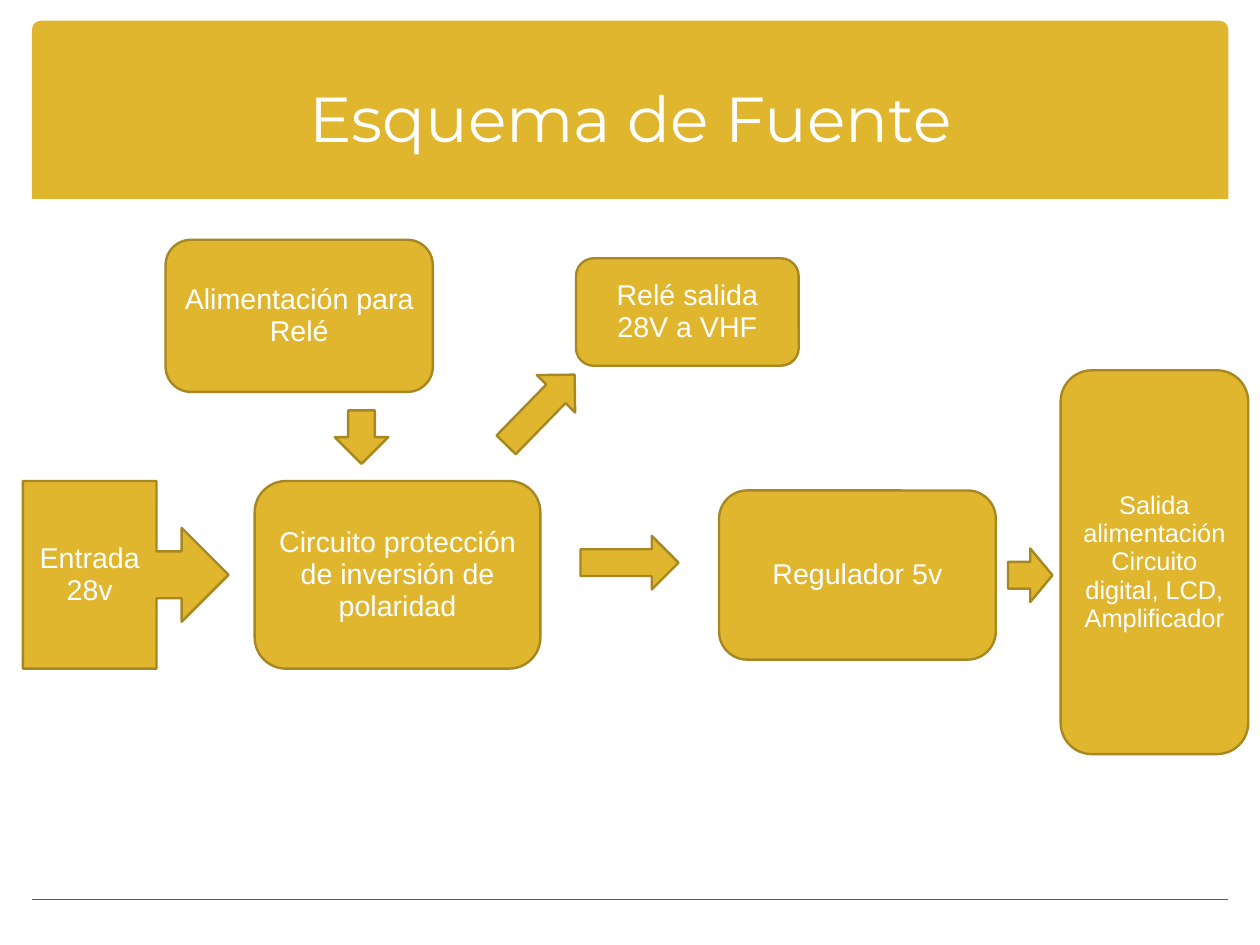
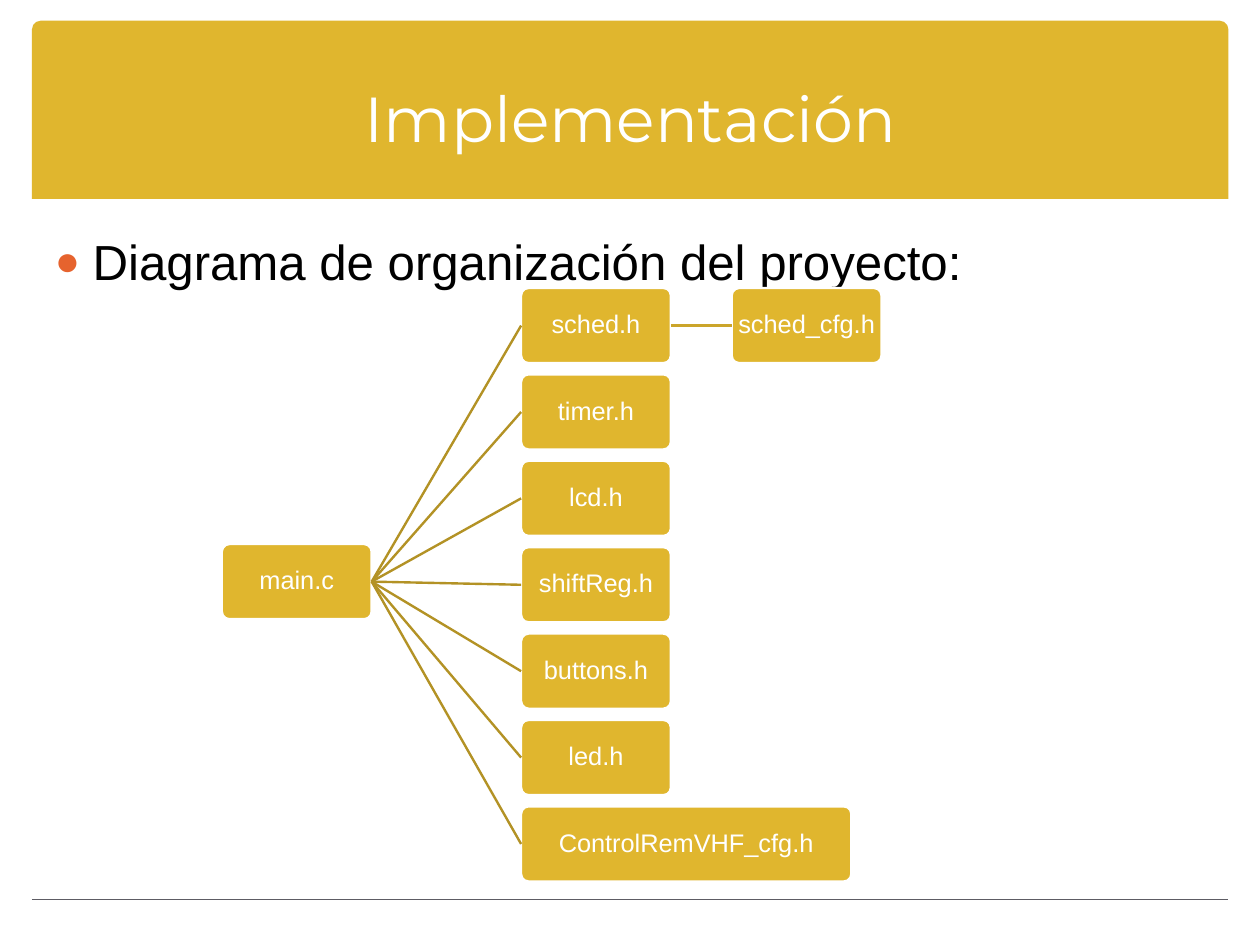
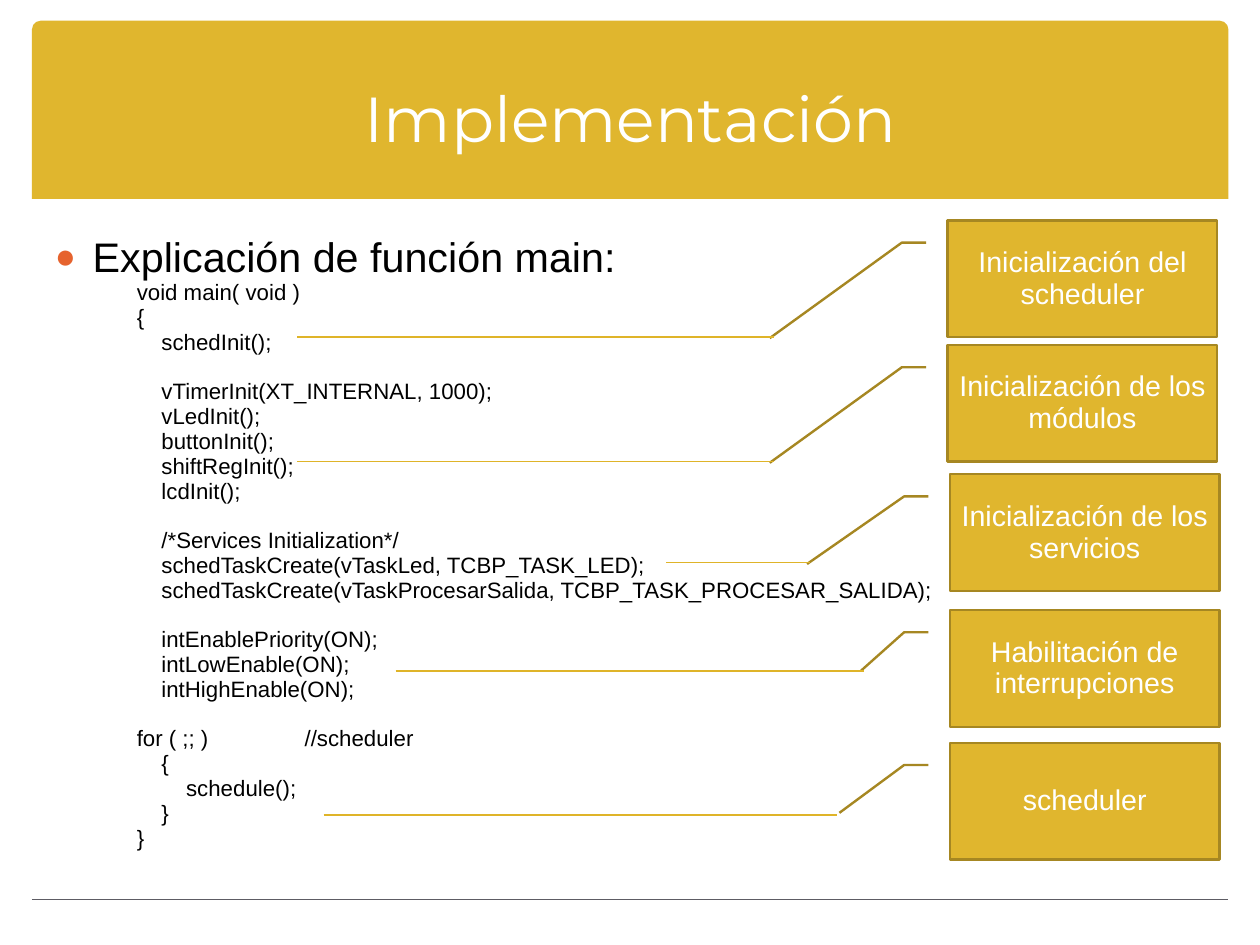
from dataclasses import dataclass
from typing import Optional

import lxml.etree
import pptx
import pptx.dml.color
import pptx.enum.shapes
import pptx.enum.text
import pptx.oxml.ns
import pptx.util

Cm = pptx.util.Cm
Pt = pptx.util.Pt
SHAPE = pptx.enum.shapes.MSO_SHAPE
ALIGN = pptx.enum.text.PP_ALIGN
ANCHOR = pptx.enum.text.MSO_ANCHOR
qn = pptx.oxml.ns.qn

# Shared look
COLORS = {
    "gold": "E0B62E",
    "gold_edge": "A68722",
    "gold_link": "B39225",
    "gold_sublink": "CBA52A",
    "gold_lead": "DFB429",
    "rule": "5D5C64",
    "bullet": "E6632E",
    "white": "FFFFFF",
    "black": "000000",
}
TITLE_FONT = "Montserrat"
BODY_FONT = "Arial"
TITLE_ONLY = 5
MARGIN = 0.71
RIGHT_EDGE = 27.3
TEXT_LEFT, TEXT_WIDTH = 0.94, 26.14
LINE_SPACING = 0.93
CODE_LINE = 15.6  # height of one blank line of code, in points


@dataclass
class Block:
    kind: pptx.enum.shapes.MSO_SHAPE
    left: float
    top: float
    width: float
    height: float
    text: str = ""
    size: float = 18
    rotation: float = 0
    adjustments: tuple = ()
    edge: Optional[str] = "gold_edge"
    inset: Optional[float] = None
    spacing: float = LINE_SPACING


@dataclass
class Callout:
    text: str
    left: float
    top: float
    tip_y: float  # end of the leader, as a share of the box
    tip_x: float


@dataclass
class Lead:
    start: float
    end: float
    y: float


def rgb(name: str) -> pptx.dml.color.RGBColor:
    return pptx.dml.color.RGBColor.from_string(COLORS[name])


def add_text(p, text: str, *, size: float, color: str = "white", font: str = BODY_FONT,
             align=ALIGN.CENTER, spacing: Optional[float] = None, before: float = 0,
             bullet: bool = False, tabs: tuple = ()) -> None:
    """Write one formatted run into a paragraph."""
    p.alignment = align
    if spacing:
        p.line_spacing = spacing
    p.space_before = Pt(before)
    pPr = p._p.get_or_add_pPr()
    if bullet:
        pPr.set("marL", str(Cm(0.84)))
        pPr.set("indent", str(-Cm(0.84)))
        clr = lxml.etree.SubElement(pPr, qn("a:buClr"))
        lxml.etree.SubElement(clr, qn("a:srgbClr"), val=COLORS["bullet"])
        lxml.etree.SubElement(pPr, qn("a:buSzPct"), val="85000")
        lxml.etree.SubElement(pPr, qn("a:buFont"), typeface=BODY_FONT)
        lxml.etree.SubElement(pPr, qn("a:buChar"), char="●")
    if tabs:
        stops = lxml.etree.SubElement(pPr, qn("a:tabLst"))
        for stop in tabs:
            lxml.etree.SubElement(stops, qn("a:tab"), pos=str(Cm(stop)), algn="l")
    r = p.add_run()
    r.text = text
    r.font.size = Pt(size)
    r.font.name = font
    r.font.color.rgb = rgb(color)


def set_insets(tf, x: float, y: float) -> None:
    tf.margin_left = tf.margin_right = Cm(x)
    tf.margin_top = tf.margin_bottom = Cm(y)


def add_block(slide, block: Block):
    sp = slide.shapes.add_shape(block.kind, Cm(block.left), Cm(block.top),
                                Cm(block.width), Cm(block.height))
    sp.shadow.inherit = False
    sp.rotation = block.rotation
    for i, value in enumerate(block.adjustments):
        sp.adjustments[i] = value
    sp.fill.solid()
    sp.fill.fore_color.rgb = rgb("gold")
    if block.edge:
        sp.line.color.rgb = rgb(block.edge)
        sp.line.width = Pt(1.5)
    else:
        sp.line.fill.background()
    if block.text:
        tf = sp.text_frame
        tf.word_wrap = True
        tf.vertical_anchor = ANCHOR.MIDDLE
        if block.inset is not None:
            set_insets(tf, block.inset, block.inset)
        add_text(tf.paragraphs[0], block.text, size=block.size, spacing=block.spacing)
    return sp


def add_line(slide, x1: float, y1: float, x2: float, y2: float, color: str, width: float):
    line = slide.shapes.add_connector(pptx.enum.shapes.MSO_CONNECTOR.STRAIGHT,
                                      Cm(x1), Cm(y1), Cm(x2), Cm(y2))
    line.line.color.rgb = rgb(color)
    line.line.width = Pt(width)
    lxml.etree.SubElement(line._element.spPr, qn("a:effectLst"))
    return line


def add_link(slide, parent, child, color: str) -> None:
    """Join the right side of one box to the left side of another."""
    link = add_line(slide, 0, 0, 1, 1, color, 1.5)
    link.begin_connect(parent, 3)
    link.end_connect(child, 1)


def add_titled_slide(prs, title: str):
    """Title-only slide with the gold band and the bottom rule."""
    slide = prs.slides.add_slide(prs.slide_layouts[TITLE_ONLY])
    band = add_block(slide, Block(SHAPE.ROUND_2_SAME_RECTANGLE, MARGIN, 0.46,
                                  RIGHT_EDGE - MARGIN, 3.96,
                                  adjustments=(0.05, 0), edge=None))
    rule = add_line(slide, MARGIN, 19.99, RIGHT_EDGE, 19.99, "rule", 1)
    for i, part in enumerate((band, rule)):
        slide.shapes._spTree.insert(2 + i, part._element)

    sp = slide.shapes.title
    sp.left, sp.top, sp.width, sp.height = Cm(TEXT_LEFT), Cm(0.84), Cm(TEXT_WIDTH), Cm(3.51)
    tf = sp.text_frame
    tf.auto_size = pptx.enum.text.MSO_AUTO_SIZE.NONE
    tf.vertical_anchor = ANCHOR.MIDDLE
    set_insets(tf, 0.28, 0.15)
    add_text(tf.paragraphs[0], title, size=40, font=TITLE_FONT)
    return slide


def add_bullet(slide, text: str, size: float) -> None:
    box = slide.shapes.add_textbox(Cm(TEXT_LEFT), Cm(5), Cm(TEXT_WIDTH), Cm(1.6))
    tf = box.text_frame
    tf.word_wrap = True
    set_insets(tf, 0.28, 0.15)
    add_text(tf.paragraphs[0], text, size=size, color="black", align=ALIGN.LEFT, bullet=True)


def add_code(slide, code: str) -> None:
    """One paragraph per line; a blank line becomes space before the next."""
    box = slide.shapes.add_textbox(Cm(2.79), Cm(6.12), Cm(18.5), Cm(13.06))
    tf = box.text_frame
    tf.word_wrap = True
    p, before = tf.paragraphs[0], 0
    for line in code.strip().splitlines():
        if not line:
            before += CODE_LINE
            continue
        if p is None:
            p = tf.add_paragraph()
        add_text(p, line, size=14, color="black", align=ALIGN.LEFT, spacing=LINE_SPACING,
                 before=before, tabs=(2.49, 3.73) if "\t" in line else ())
        p, before = None, 0


# Slide 1: power supply
SUPPLY = [
    Block(SHAPE.ROUNDED_RECTANGLE, 15.98, 10.9, 6.15, 3.76, "Regulador 5v"),
    Block(SHAPE.ROUNDED_RECTANGLE, 5.66, 10.69, 6.35, 4.17,
          "Circuito protección de inversión de polaridad"),
    Block(SHAPE.ROUNDED_RECTANGLE, 3.68, 5.33, 5.94, 3.38, "Alimentación para Relé"),
    Block(SHAPE.DOWN_ARROW, 7.44, 9.12, 1.19, 1.19),
    Block(SHAPE.RIGHT_ARROW, 12.9, 11.91, 2.18, 1.19),
    Block(SHAPE.RIGHT_ARROW_CALLOUT, 0.51, 10.69, 4.57, 4.17, "Entrada 28v"),
    Block(SHAPE.ROUNDED_RECTANGLE, 12.8, 5.74, 4.95, 2.39, "Relé salida 28V a VHF"),
    Block(SHAPE.RIGHT_ARROW, 10.92, 8.51, 2.18, 1.19, rotation=314.3),
    Block(SHAPE.ROUNDED_RECTANGLE, 23.57, 8.23, 4.17, 8.53,
          "Salida alimentación Circuito digital, LCD, Amplificador", size=16),
    Block(SHAPE.RIGHT_ARROW, 22.4, 12.19, 0.99, 1.19),
]


def build_supply(prs) -> None:
    slide = add_titled_slide(prs, "Esquema de Fuente")
    for block in SUPPLY:
        add_block(slide, block)


# Slide 2: file tree
HEADERS = ["sched.h", "timer.h", "lcd.h", "shiftReg.h", "buttons.h", "led.h",
           "ControlRemVHF_cfg.h"]
TREE_TOP, TREE_STEP = 6.4, 1.92
ROOT_X, HEADER_X, CONFIG_X = 4.93, 11.58, 16.26
FILE_WIDTH, WIDE_FILE_WIDTH = 3.33, 7.34


def add_file(slide, name: str, left: float, top: float, width: float = FILE_WIDTH):
    return add_block(slide, Block(SHAPE.ROUNDED_RECTANGLE, left, top, width, 1.67, name,
                                  size=16, adjustments=(0.1,), edge="white",
                                  inset=0.03, spacing=0.9))


def build_tree(prs) -> None:
    slide = add_titled_slide(prs, "Implementación")
    add_bullet(slide, "Diagrama de organización del proyecto:", 31)
    root = add_file(slide, "main.c", ROOT_X, 12.09)
    headers = []
    for i, name in enumerate(HEADERS):
        width = WIDE_FILE_WIDTH if name == HEADERS[-1] else FILE_WIDTH
        header = add_file(slide, name, HEADER_X, TREE_TOP + i * TREE_STEP, width)
        add_link(slide, root, header, "gold_link")
        headers.append(header)
    config = add_file(slide, "sched_cfg.h", CONFIG_X, TREE_TOP)
    add_link(slide, headers[0], config, "gold_sublink")


# Slide 3: main function
CODE = """
void main( void )
{
    schedInit();

    vTimerInit(XT_INTERNAL, 1000);
    vLedInit();
    buttonInit();
    shiftRegInit();
    lcdInit();

    /*Services Initialization*/
    schedTaskCreate(vTaskLed, TCBP_TASK_LED);
    schedTaskCreate(vTaskProcesarSalida, TCBP_TASK_PROCESAR_SALIDA);

    intEnablePriority(ON);
    intLowEnable(ON);
    intHighEnable(ON);

for ( ;; )\t\t//scheduler
    {
        schedule();
    }
}
"""
CALLOUTS = [
    Callout("Inicialización del scheduler", 21.06, 4.9, 1.01, -0.66),
    Callout("Inicialización de los módulos", 21.06, 7.67, 1.01, -0.66),
    Callout("Inicialización de los servicios", 21.11, 10.54, 0.77, -0.53),
    Callout("Habilitación de interrupciones", 21.11, 13.56, 0.52, -0.33),
    Callout("scheduler", 21.11, 16.51, 0.6, -0.41),
]
LEADS = [
    Lead(6.6, 17.2, 7.49),
    Lead(6.6, 17.2, 10.26),
    Lead(14.81, 18.01, 12.5),
    Lead(8.79, 19.2, 14.91),
    Lead(7.19, 18.59, 18.11),
]


def build_main_function(prs) -> None:
    slide = add_titled_slide(prs, "Implementación")
    add_bullet(slide, "Explicación de función main:", 26)
    add_code(slide, CODE)
    for c in CALLOUTS:
        add_block(slide, Block(SHAPE.LINE_CALLOUT_2, c.left, c.top, 5.99, 2.59, c.text,
                               adjustments=(0.19, -0.08, 0.19, -0.17, c.tip_y, c.tip_x)))
    for lead in LEADS:
        add_line(slide, lead.start, lead.y, lead.end, lead.y, "gold_lead", 0.75)


def main() -> None:
    prs = pptx.Presentation()
    prs.slide_width, prs.slide_height = Cm(28), Cm(21)
    build_supply(prs)
    build_tree(prs)
    build_main_function(prs)
    prs.save("out.pptx")


if __name__ == "__main__":
    main()
